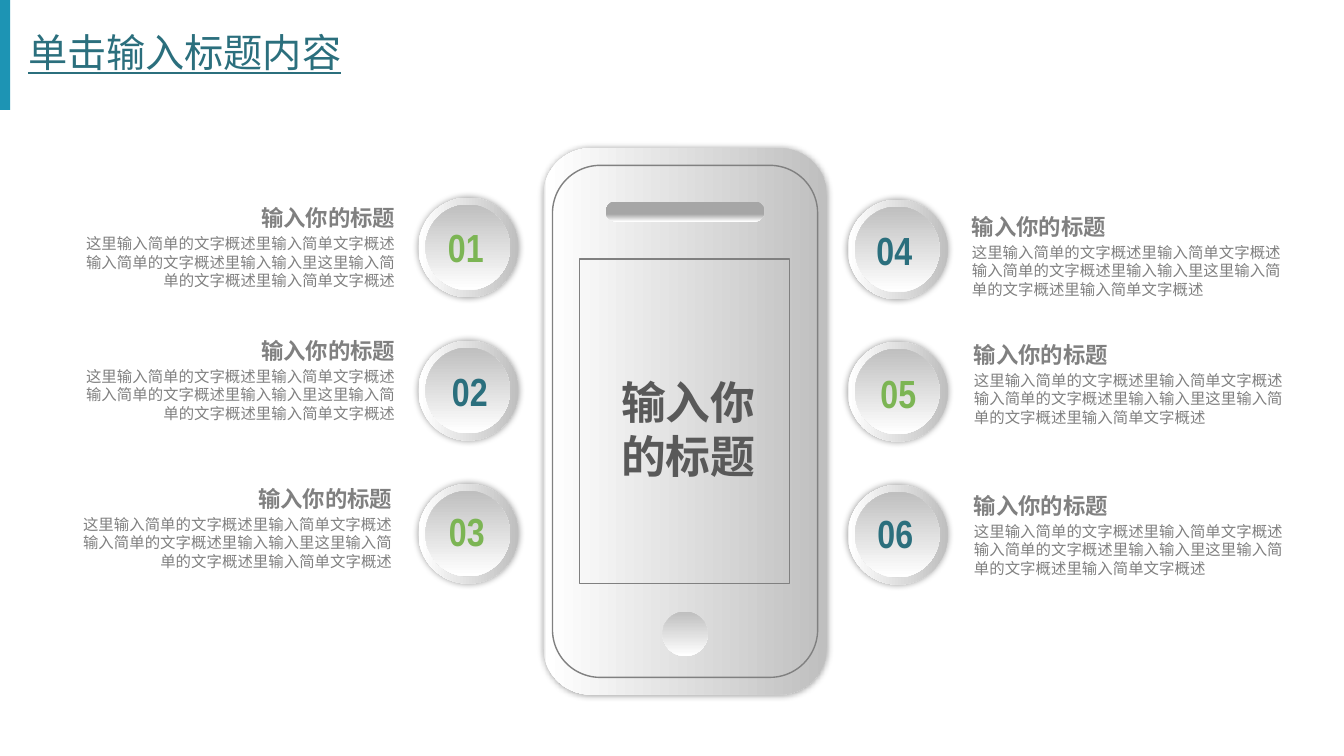
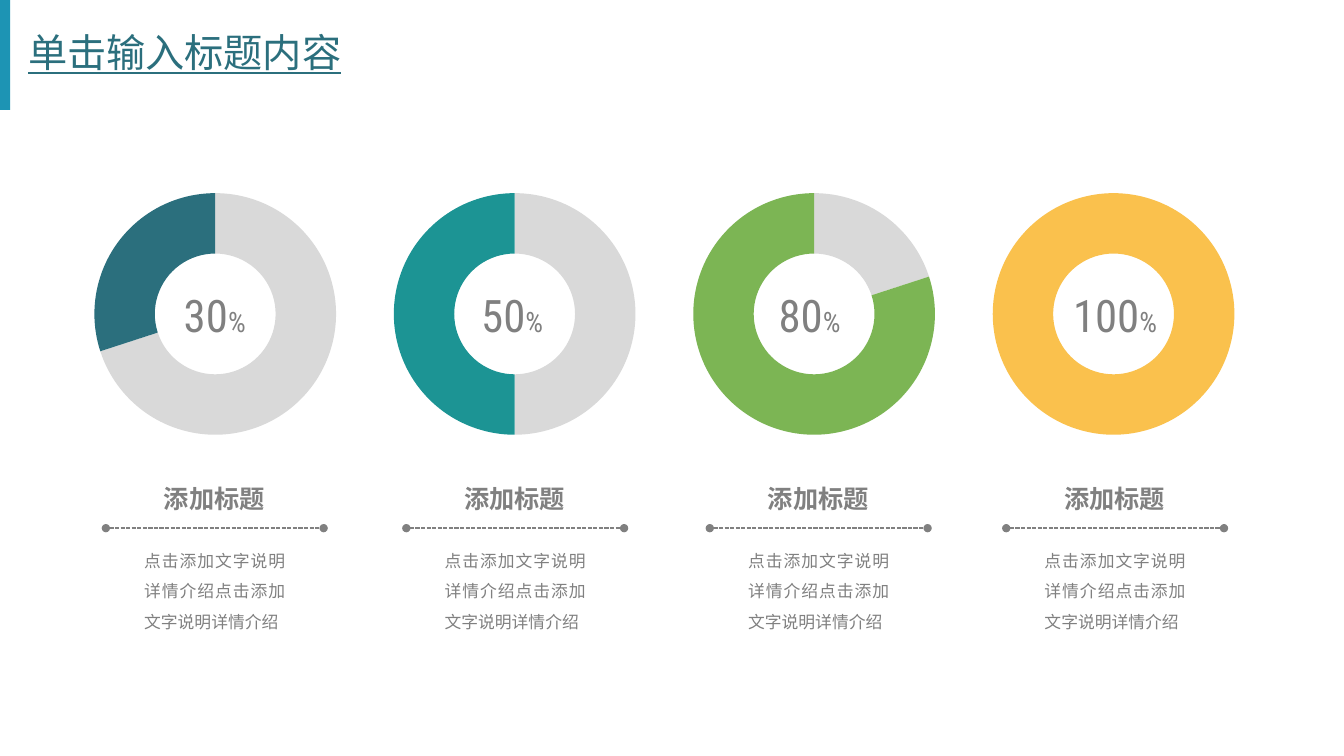
"""Build a phone diagram slide and a doughnut chart slide."""
from lxml.etree import SubElement
from pptx import Presentation
from pptx.chart.data import CategoryChartData
from pptx.dml.color import RGBColor
from pptx.enum.chart import XL_CHART_TYPE as Chart
from pptx.enum.dml import MSO_LINE as Dash
from pptx.enum.shapes import MSO_CONNECTOR as Connector, MSO_SHAPE as Preset
from pptx.enum.text import MSO_ANCHOR as Anchor, PP_ALIGN as Align
from pptx.oxml.ns import qn
from pptx.util import Inches, Pt

COLORS = {
    "bar": "1D94B4", "navy": "2B6F7D", "teal": "1C9494", "green": "7CB554",
    "yellow": "FAC14D", "gray": "808080", "dark": "595959", "track": "D9D9D9",
    "white": "FFFFFF", "silver": "BFBFBF", "slot": "A6A6A6", "black": "000000",
}
CJK = "Noto Sans CJK SC"
STYLES = {
    "title": {"size": Pt(28), "name": "Montserrat", "underline": True},
    "heading": {"size": Pt(16), "name": CJK, "bold": True},
    "body": {"size": Pt(11), "name": CJK},
    "phone": {"size": Pt(32), "name": CJK, "bold": True},
    "number": {"size": Pt(28), "name": "Arial Narrow", "bold": True},
    "percent": {"size": Pt(32), "name": "Roboto Condensed"},
    "sign": {"size": Pt(20), "name": "Roboto Condensed"},
    "caption": {"size": Pt(18), "name": CJK, "bold": True},
    "detail": {"size": Pt(12), "name": CJK},
}
METAL = [(0, "track"), (1, "white"), (100, "silver")]
GROOVE = [(0, "track"), (1, "white"), (38, "slot"), (93, "slot")]

TITLE = "单击输入标题内容"
PHONE_LABEL = ["输入你", "的标题"]
ITEM_HEADING = "输入你的标题"
ITEM_BODY = "这里输入简单的文字概述里输入简单文字概述输入简单的文字概述里输入输入里这里输入简单的文字概述里输入简单文字概述"
ITEMS = [
    {"number": "01", "color": "green", "disc": (4.15, 1.96), "label": (4.12, 2.15), "text": (0.61, 1.96)},
    {"number": "02", "color": "navy", "disc": (4.15, 3.38), "label": (4.16, 3.57), "text": (0.61, 3.27)},
    {"number": "03", "color": "green", "disc": (4.15, 4.8), "label": (4.13, 4.96), "text": (0.58, 4.74)},
    {"number": "04", "color": "navy", "disc": (8.41, 1.98), "label": (8.37, 2.17), "text": (9.51, 2.04)},
    {"number": "05", "color": "green", "disc": (8.41, 3.39), "label": (8.41, 3.59), "text": (9.53, 3.31)},
    {"number": "06", "color": "navy", "disc": (8.41, 4.81), "label": (8.38, 4.98), "text": (9.53, 4.81)},
]
CAPTION = "添加标题"
DETAIL = "点击添加文字说明详情介绍点击添加文字说明详情介绍"
RINGS = [
    {"percent": 30, "color": "navy", "label": 1.34, "rule": 1.05},
    {"percent": 50, "color": "teal", "label": 4.29, "rule": 4.03},
    {"percent": 80, "color": "green", "label": 7.24, "rule": 7.04},
    {"percent": 100, "color": "yellow", "label": 10.27, "rule": 9.98},
]
RING_LEFT, RING_STEP, RING_SIZE = 0.64, 2.97, 2.96
RING_LAYOUT = {"x": 0.1, "y": 0.09, "w": 0.81, "h": 0.81}


def rgb(name):
    return RGBColor.from_string(COLORS[name])


def add_text(page, at, paragraphs, color="gray", align=Align.LEFT, wrap=True,
             anchor=Anchor.TOP, insets=(0.13, 0.07)):
    """Each paragraph is a pair: a list of (text, style) and its format."""
    box = page.shapes.add_textbox(*map(Inches, at))
    frame = box.text_frame
    side, edge = map(Inches, insets)
    frame_format = {
        "word_wrap": wrap, "vertical_anchor": anchor, "margin_left": side,
        "margin_right": side, "margin_top": edge, "margin_bottom": edge,
    }
    for key, value in frame_format.items():
        setattr(frame, key, value)
    for index, (spans, para_format) in enumerate(paragraphs):
        para = frame.add_paragraph() if index else frame.paragraphs[0]
        for key, value in {"alignment": align, **para_format}.items():
            setattr(para, key, value)
        for text, style in spans:
            span = para.add_run()
            span.text = text
            for key, value in STYLES[style].items():
                setattr(span.font, key, value)
            span.font.color.rgb = rgb(color)
            SubElement(span.font._element, qn("a:ea"), typeface=CJK)


def add_shape(page, preset, at, fill=None, line=None, stops=None, angle=0,
              shadow=False, corner=None):
    shape = page.shapes.add_shape(preset, *map(Inches, at))
    shape.shadow.inherit = False
    if corner is not None:
        shape.adjustments[0] = corner
    if stops:
        shape.fill.gradient()
        shape.fill.gradient_angle = angle
        stop_list = next(shape._element.iter(qn("a:gsLst")))
        for stop in list(stop_list):
            stop_list.remove(stop)
        for position, color in stops:
            stop = SubElement(stop_list, qn("a:gs"), pos=str(position * 1000))
            SubElement(stop, qn("a:srgbClr"), val=COLORS[color])
    elif fill:
        shape.fill.solid()
        shape.fill.fore_color.rgb = rgb(fill)
    else:
        shape.fill.background()
    if line:
        shape.line.color.rgb = rgb(line)
        shape.line.width = Pt(1)
    else:
        shape.line.fill.background()
    if shadow:
        effects = shape._element.spPr.find(qn("a:effectLst"))
        glow = SubElement(effects, qn("a:outerShdw"), blurRad=str(Pt(5)),
                          dist="0", dir="0", algn="ctr", rotWithShape="0")
        tint = SubElement(glow, qn("a:srgbClr"), val=COLORS["black"])
        SubElement(tint, qn("a:alpha"), val="40000")


def add_page(deck):
    page = deck.slides.add_slide(deck.slide_layouts[6])
    add_shape(page, Preset.RECTANGLE, (0, 0, 0.1, 1.09), fill="bar")
    add_text(page, (0.18, 0.2, 11.5, 0.68), [([(TITLE, "title")], {"line_spacing": 0.9})],
             color="navy", anchor=Anchor.MIDDLE, insets=(0.1, 0.05))
    return page


def add_phone(page):
    add_shape(page, Preset.ROUNDED_RECTANGLE, (5.39, 1.47, 2.81, 5.42), stops=METAL, shadow=True)
    add_shape(page, Preset.ROUNDED_RECTANGLE, (5.48, 1.64, 2.63, 5.08), line="gray", corner=0.18)
    add_shape(page, Preset.RECTANGLE, (5.75, 2.57, 2.08, 3.22), line="gray")
    add_shape(page, Preset.ROUNDED_RECTANGLE, (6.01, 2, 1.57, 0.2), stops=GROOVE, angle=90, corner=0.5)
    add_shape(page, Preset.OVAL, (6.57, 6.07, 0.45, 0.44), stops=METAL, angle=90)
    add_text(page, (6.03, 3.65, 1.62, 1.21),
             [([(text, "phone")], {"line_spacing": Pt(38.5)}) for text in PHONE_LABEL],
             color="dark", wrap=False)


def add_item(page, item):
    left, top = item["disc"]
    add_shape(page, Preset.OVAL, (left, top, 0.99, 0.99), stops=METAL, shadow=True)
    add_shape(page, Preset.OVAL, (left + 0.07, top + 0.07, 0.84, 0.85), stops=METAL, angle=90)
    add_text(page, (*item["label"], 1, 0.61), [([(item["number"], "number")], {})],
             color=item["color"], align=Align.CENTER)
    on_left = item["text"][0] < left
    add_text(page, (*item["text"], 3.44, 1.31), [
        ([(ITEM_HEADING, "heading")], {"line_spacing": Pt(19.2)}),
        ([(ITEM_BODY, "body")], {"line_spacing": Pt(13.2), "space_before": Pt(2.2)}),
    ], align=Align.RIGHT if on_left else Align.LEFT)


def add_ring(page, left, ring):
    data = CategoryChartData()
    data.categories = ["1", "2"]
    data.add_series("Series 1", (100 - ring["percent"], ring["percent"]))
    at = map(Inches, (left, 1.65, RING_SIZE, RING_SIZE))
    chart = page.shapes.add_chart(Chart.DOUGHNUT, *at, data).chart
    chart.has_title = chart.has_legend = False
    chart.font.name, chart.font.size = "Arial", Pt(10)
    chart.font.color.rgb = rgb("black")
    plot = chart.plots[0]
    plot.vary_by_categories = True
    for index, color in enumerate(("track", ring["color"])):
        part = plot.series[0].points[index].format
        part.fill.solid()
        part.fill.fore_color.rgb = rgb(color)
        part.line.fill.background()
    area = next(chart._chartSpace.iter(qn("c:plotArea")))
    next(area.iter(qn("c:holeSize"))).set("val", "75")
    for layout in area.findall(qn("c:layout")):
        area.remove(layout)
    layout = SubElement(area, qn("c:layout"))
    area.insert(0, layout)
    manual = SubElement(layout, qn("c:manualLayout"))
    settings = {"layoutTarget": "inner", "xMode": "edge", "yMode": "edge", **RING_LAYOUT}
    for key, value in settings.items():
        SubElement(manual, qn(f"c:{key}"), val=str(value))


def add_rule(page, left, width, top):
    rule = page.shapes.add_connector(
        Connector.STRAIGHT, *map(Inches, (left, top, left + width, top)))
    rule.line.color.rgb = rgb("gray")
    rule.line.width = Pt(1)
    rule.line.dash_style = Dash.SQUARE_DOT
    outline = rule._element.spPr.find(qn("a:ln"))
    for end in ("headEnd", "tailEnd"):
        SubElement(outline, qn(f"a:{end}"), type="oval")
    SubElement(rule._element.spPr, qn("a:effectLst"))


def add_column(page, index, ring):
    add_ring(page, RING_LEFT + index * RING_STEP, ring)
    add_text(page, (ring["label"], 2.78, 1.58, 0.67),
             [([(str(ring["percent"]), "percent"), ("%", "sign")], {})], align=Align.CENTER)
    left = ring["rule"]
    add_text(page, (left + 0.18, 4.72, 1.79, 0.44),
             [([(CAPTION, "caption")], {"line_spacing": Pt(21.6)})], align=Align.CENTER)
    add_rule(page, left, 2.16, 5.24)
    add_text(page, (left + 0.25, 5.29, 1.66, 1.04),
             [([(DETAIL, "detail")], {"line_spacing": Pt(21.8)})], align=Align.JUSTIFY)


def main():
    deck = Presentation()
    deck.slide_width, deck.slide_height = Inches(13.33), Inches(7.5)
    page = add_page(deck)
    add_phone(page)
    for item in ITEMS:
        add_item(page, item)
    page = add_page(deck)
    for index, ring in enumerate(RINGS):
        add_column(page, index, ring)
    deck.save("out.pptx")


if __name__ == "__main__":
    main()
